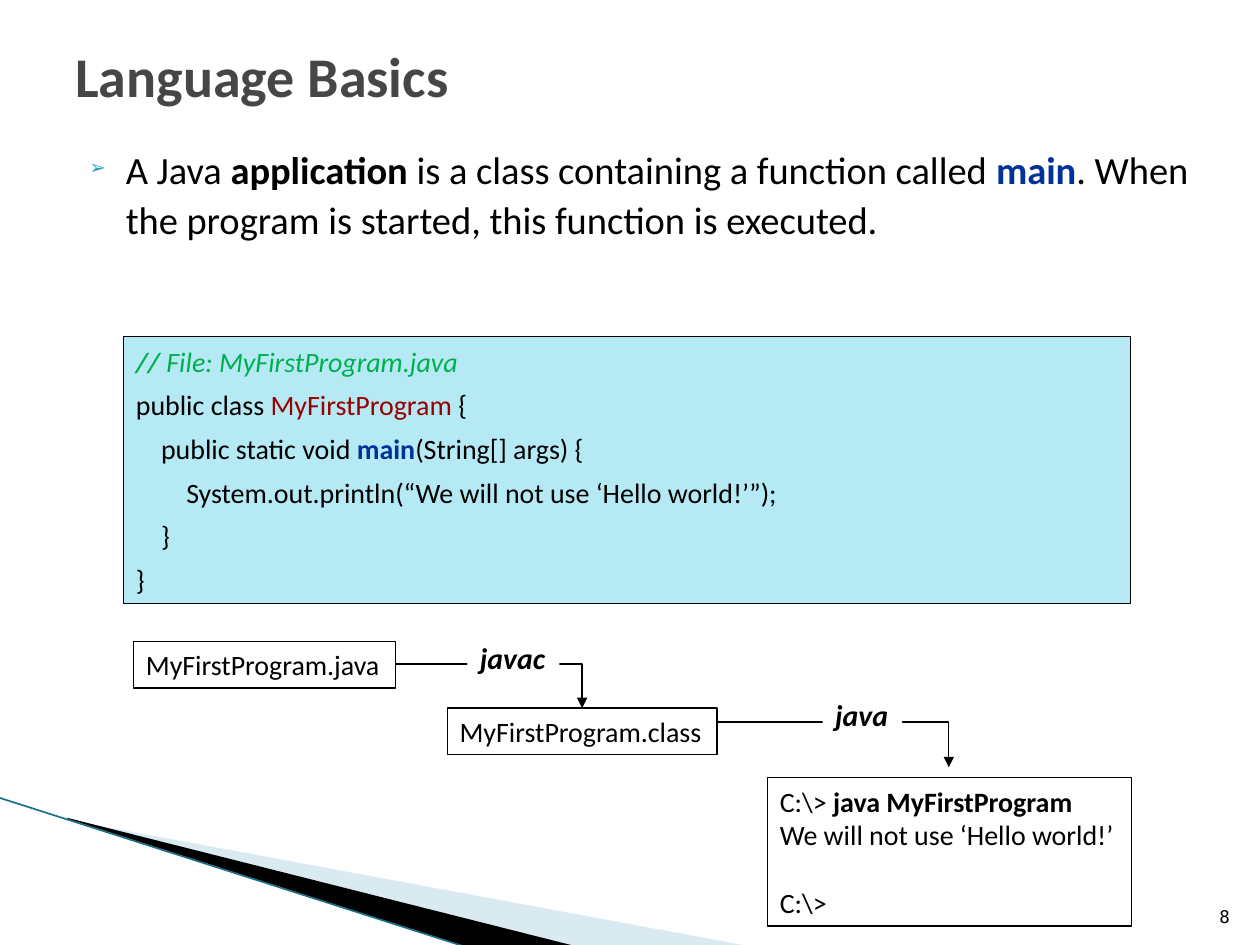
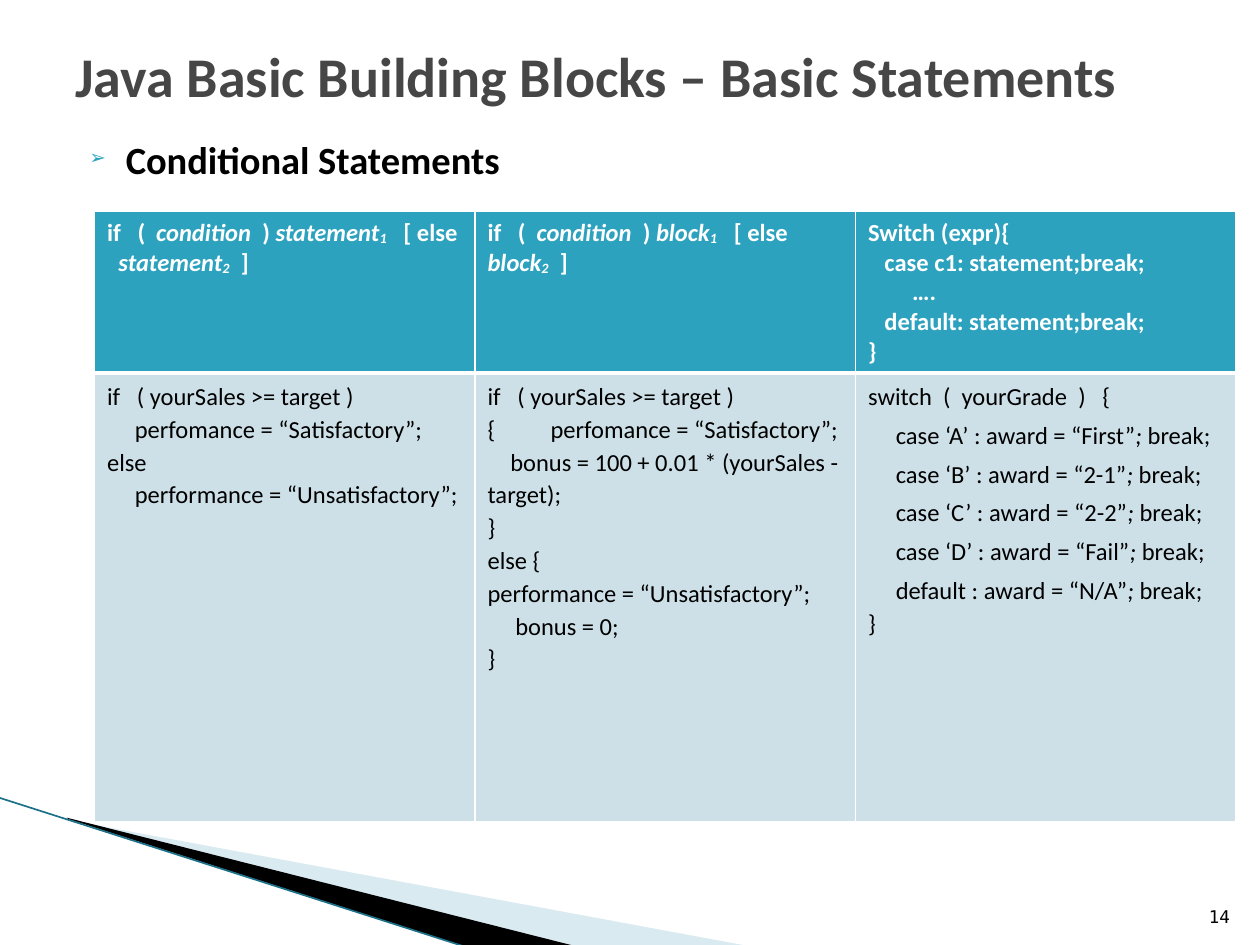
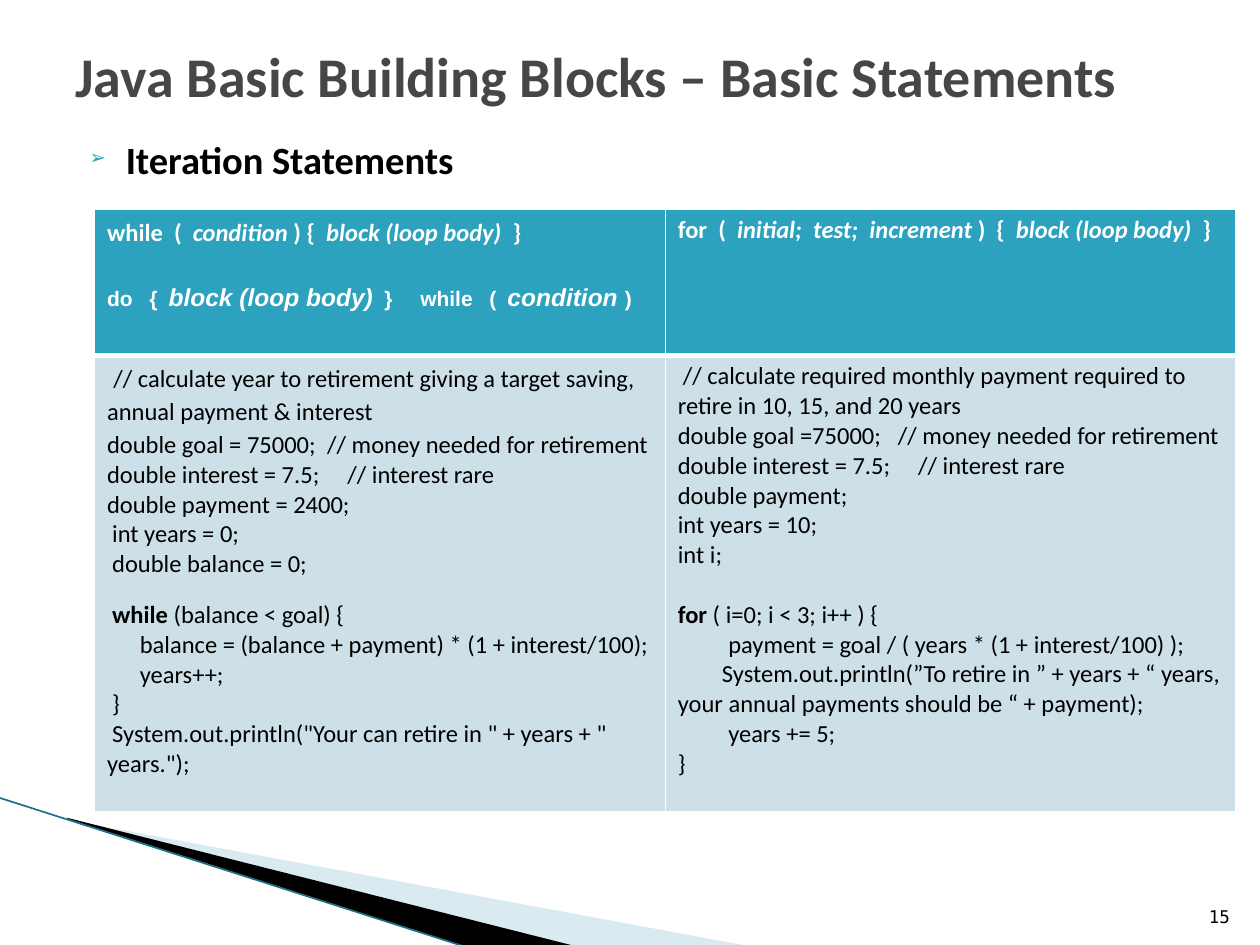
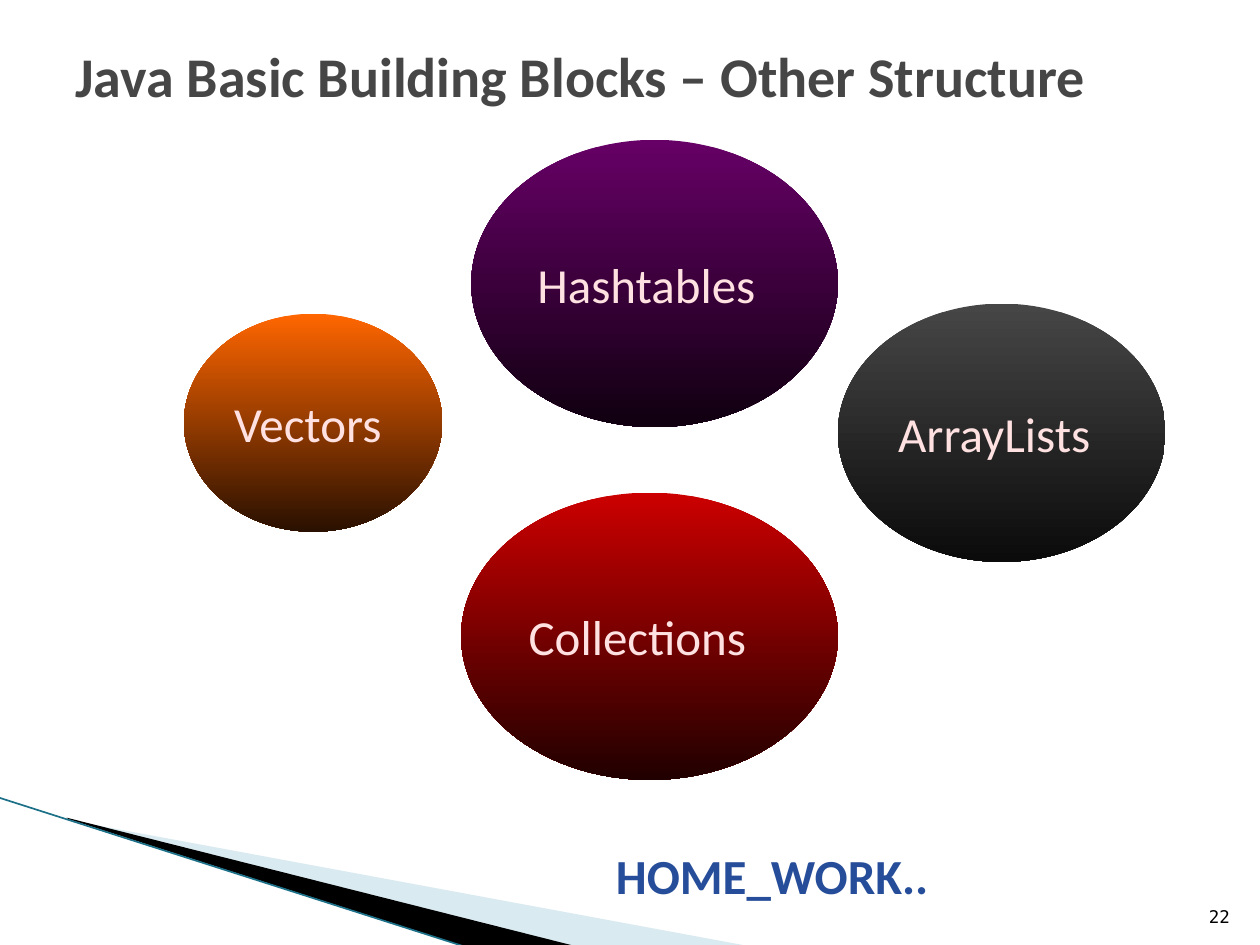
import pptx
import pptx.util
import pptx.dml.color
import pptx.enum.shapes
import pptx.enum.text
import pptx.oxml
import pptx.oxml.ns
from lxml import etree

Inches = pptx.util.Inches
Shape = pptx.enum.shapes.MSO_SHAPE
Connector = pptx.enum.shapes.MSO_CONNECTOR
Anchor = pptx.enum.text.MSO_ANCHOR
Align = pptx.enum.text.PP_ALIGN

THEME = {
    "black": "000000", "white": "FFFFFF", "title": "464646", "bullet": "2DA2BF",
    "header": "2DA2BF", "body": "CDE0E8", "code": "B5E9F4", "band": "A0CBDC",
    "edge": "1C7088", "keyword": "003399", "class": "990000", "comment": "00B050",
    "homework": "264D99", "bubble": "FFE1E1",
}
BASE = {"name": "Calibri", "size": 16, "color": "black"}
TEXT = {
    "title": {**BASE, "size": 32, "color": "title", "bold": True},
    "lead": {**BASE, "size": 22},
    "code": BASE,
    "tool": {**BASE, "size": 17, "bold": True, "italic": True},
    "header": {**BASE, "size": 14, "color": "white", "bold": True},
    "body": {**BASE, "size": 14, "bold": False},
    "bubble": {**BASE, "size": 28, "color": "bubble"},
    "homework": {**BASE, "size": 28, "color": "homework", "bold": True},
    "number": {**BASE, "name": "DejaVu Sans Mono", "size": 10},
}
SPAN = {
    "bold": {"bold": True},
    "italic": {"italic": True},
    "sub": {"italic": True, "baseline": -10000},
    "keyword": {"bold": True, "color": "keyword"},
    "class": {"color": "class"},
    "comment": {"italic": True, "color": "comment"},
    "slashes": {"italic": True, "bold": True, "color": "comment"},
    "arial": {"name": "Arial", "size": 12},
    "arial italic": {"name": "Arial", "italic": True},
    "double": {"spc": 316},
    "triple": {"spc": 632},
    "wide": {"spc": 1264},
}
DOUBLE, TRIPLE, WIDE = [(" ", name) for name in ("double", "triple", "wide")]

LEAD = [["A Java ", ("application", "bold"), " is a class containing a function called ",
         ("main", "keyword"), ". When the program is started, this function is executed."]]
PROGRAM = [
    [("//", "slashes"), (" File: MyFirstProgram.java", "comment")],
    {"spans": ["public class ", ("MyFirstProgram ", "class"), "{"], "spacing": 1.3},
    {"spans": ["public static void ", ("main", "keyword"), "(String[] args) {"],
     "first": 0.2, "spacing": 1.3},
    {"spans": ["System.out.println(“We will not use ‘Hello world!’”);"],
     "first": 0.4, "spacing": 1.3},
    {"spans": ["}"], "first": 0.2, "spacing": 1.3},
    {"spans": ["}"], "spacing": 1.3},
]
CONSOLE = [["C:\\> ", ("java MyFirstProgram", "bold")], "We will not use ‘Hello world!’",
           {"spans": ["C:\\>"], "before": 19.5}]
STAGES = [
    ((1.06, 5.09, 2.08, 0.37), ["MyFirstProgram.java"]),
    ((3.55, 5.62, 2.14, 0.37), ["MyFirstProgram.class"]),
    ((6.09, 6.17, 2.89, 1.18), CONSOLE),
]
TOOLS = [
    ("javac", (3.14, 5.27, 4.62, 5.62), (3.71, 5.02, 0.73, 0.39)),
    ("java", (5.69, 5.73, 7.53, 6.09), (6.53, 5.48, 0.63, 0.39)),
]

IF_HEADERS = [
    [["if", TRIPLE, "(", DOUBLE, ("condition", "italic"), DOUBLE, ") ",
      (term, "italic"), ("1", "sub"), TRIPLE, "[ else"],
     {"spans": [(term, "italic"), ("2", "sub"), DOUBLE, "]"], "first": first}]
    for term, first in (("statement", 0.09), ("block", 0))
]
SWITCH_HEADER = [
    "Switch (expr){",
    {"spans": ["case c1: statement;break;"], "first": 0.13},
    {"spans": ["…."], "first": 0.35},
    {"spans": ["default: statement;break;"], "first": 0.13},
    "}",
]
IF_SALES = ["if", TRIPLE, "( yourSales >= target )"]
IF_STATEMENT = [
    IF_SALES,
    {"spans": ["perfomance = “Satisfactory”;"], "first": 0.22},
    "else",
    {"spans": ["performance = “Unsatisfactory”;"], "first": 0.22},
]
IF_BLOCK = [
    IF_SALES,
    "{\tperfomance = “Satisfactory”;",
    {"spans": ["bonus = 100 + 0.01 * (yourSales - target);"], "first": 0.18},
    "}",
    "else {",
    "performance = “Unsatisfactory”;",
    {"spans": ["bonus = 0;"], "first": 0.22},
    "}",
]
GRADES = [("case ‘A’", "First"), ("case ‘B’", "2-1"), ("case ‘C’", "2-2"),
          ("case ‘D’", "Fail"), ("default", "N/A")]
SWITCH = [["switch", DOUBLE, "(", DOUBLE, "yourGrade", DOUBLE, ")", TRIPLE, "{"]] + [
    {"spans": [f"{label} : award = “{award}”", ("; ", "italic"), "break;"],
     "first": 0.22, "spacing": 1.3}
    for label, award in GRADES
] + ["}"]

LOOP_HEADERS = [
    [{"spans": ["while", DOUBLE, "(", DOUBLE, ("condition", "italic"), " ) {", DOUBLE,
                ("block (loop body)", "italic"), DOUBLE, "}"], "spacing": 1.1},
     {"spans": [("do", "arial"), TRIPLE, ("{", "arial"), DOUBLE,
                ("block (loop body)", "arial italic"), DOUBLE, ("}", "arial"), WIDE,
                ("while", "arial"), TRIPLE, ("(", "arial"), DOUBLE,
                ("condition ", "arial italic"), (")", "arial")],
      "spacing": 1.1, "before": 18}],
    [["for", DOUBLE, "(", DOUBLE, ("initial;", "italic"), DOUBLE, ("test;", "italic"),
      DOUBLE, ("increment ", "italic"), ")", DOUBLE, "{", DOUBLE,
      ("block (loop body)", "italic"), DOUBLE, "}"]],
]
INTEREST = ["double interest = 7.5;", WIDE, "// interest rare"]
WHILE_LOOP = [
    {"spans": ["// calculate year to retirement giving a target saving, "
               "annual payment & interest"], "first": 0.05, "spacing": 1.1},
    {"spans": ["double goal = 75000;", DOUBLE, "// money needed for retirement"],
     "spacing": 1.1},
    INTEREST,
    "double payment = 2400;",
    {"spans": ["int years = 0;"], "first": 0.04},
    {"spans": ["double balance = 0;"], "first": 0.04},
    {"spans": [("while", "bold"), " (balance < goal) {"], "first": 0.04, "before": 12},
    {"spans": ["balance = (balance + payment) * (1 + interest/100);"], "first": 0.26},
    {"spans": ["years++;"], "first": 0.26},
    {"spans": ["}"], "first": 0.04},
    {"spans": ['System.out.println("Your can retire in " + years + " years.");'], "first": 0.04},
]
FOR_LOOP = [
    {"spans": ["// calculate required monthly payment required to retire "
               "in 10, 15, and 20 years"], "first": 0.04},
    ["double goal =75000;", TRIPLE, "// money needed for retirement"],
    INTEREST,
    "double payment;",
    "int years = 10;",
    "int i;",
    {"spans": [("for", "bold"), " ( i=0; i < 3; i++ ) {"], "before": 17},
    {"spans": ["payment = goal / ( years * (1 + interest/100) );"], "first": 0.4},
    {"spans": ["System.out.println(”To retire in ” + years + “ years, "
               "your annual payments should be “ + payment);"], "first": 0.35},
    {"spans": ["years += 5;"], "first": 0.4},
    "}",
]
BUBBLES = [
    ("Vectors", (1.46, 2.49, 2.05, 1.73), ("FF6600", "291000")),
    ("Collections", (3.66, 3.91, 2.99, 2.28), ("CC0000", "210000")),
    ("ArrayLists", (6.65, 2.41, 2.6, 2.05), ("464646", "0B0B0B")),
    ("Hashtables", (3.74, 1.11, 2.91, 2.28), ("660066", "100010")),
]
BANDS = [
    ("band", 40, [(0.55, 6.51), (5.95, 7.51), (4.56, 7.51), (0.55, 6.5)]),
    ("black", 100, [(0.53, 6.49), (4.57, 7.51), (3.72, 7.52), (0.54, 6.5)]),
]
EDGE = (-0.01, 6.33, 3.71, 7.52)


def rgb(color):
    return pptx.dml.color.RGBColor.from_string(THEME.get(color, color))


def add_xml(parent, tag, **values):
    child = etree.SubElement(parent, pptx.oxml.ns.qn(tag))
    for key, value in values.items():
        child.set(key, str(value))
    return child


def paint(target, color):
    target.fill.solid()
    target.fill.fore_color.rgb = rgb(color)


def write_span(para, text, style):
    span = para.add_run()
    span.text = text
    for key, value in style.items():
        if key == "color":
            span.font.color.rgb = rgb(value)
        elif key in ("baseline", "spc"):
            span.font._element.set(key, str(value))
        else:
            setattr(span.font, key, pptx.util.Pt(value) if key == "size" else value)


def write(frame, lines, style, spacing=1.0, align=Align.LEFT, bullet=False):
    for index, line in enumerate(lines):
        if not isinstance(line, dict):
            line = {"spans": [line] if isinstance(line, str) else line}
        para = frame.paragraphs[0] if index == 0 else frame.add_paragraph()
        formats = {"alignment": align, "line_spacing": line.get("spacing", spacing),
                   "space_before": pptx.util.Pt(line.get("before", 4 if bullet else 0))}
        for key, value in formats.items():
            setattr(para, key, value)
        properties = para._p.get_or_add_pPr()
        margin, first = (0.4, -0.28) if bullet else (0, line.get("first", 0))
        properties.set("marL", str(Inches(margin)))
        properties.set("indent", str(Inches(first)))
        if bullet:
            add_xml(add_xml(properties, "a:buClr"), "a:srgbClr", val=THEME["bullet"])
            add_xml(properties, "a:buSzPct", val=68000)
            add_xml(properties, "a:buFont", typeface="DejaVu Sans Mono")
            add_xml(properties, "a:buChar", char="➢")
        for span in line["spans"]:
            text, name = (span, None) if isinstance(span, str) else span
            write_span(para, text, {**TEXT[style], **SPAN.get(name, {})})


def add_text(page, place, lines, style, anchor=Anchor.TOP, **formats):
    box = page.shapes.add_textbox(*map(Inches, place))
    box.text_frame.word_wrap = True
    box.text_frame.vertical_anchor = anchor
    write(box.text_frame, lines, style, **formats)


def add_box(page, place, lines, style, kind=Shape.RECTANGLE, fill=None, line=True, wrap=False):
    box = page.shapes.add_shape(kind, *map(Inches, place))
    box.shadow.inherit = False
    if fill:
        paint(box, fill)
    else:
        box.fill.background()
    if line:
        box.line.color.rgb = rgb("black")
        box.line.width = pptx.util.Pt(0.75)
    else:
        box.line.fill.background()
    box.text_frame.word_wrap = wrap
    box.text_frame.vertical_anchor = Anchor.MIDDLE
    write(box.text_frame, lines, style)
    return box


def add_line(page, ends, color, width, bent=False):
    kind = Connector.ELBOW if bent else Connector.STRAIGHT
    line = page.shapes.add_connector(kind, *map(Inches, ends))
    line.line.color.rgb = rgb(color)
    line.line.width = pptx.util.Pt(width)
    properties = line._element.spPr
    if bent:
        properties.find(pptx.oxml.ns.qn("a:prstGeom")).set("prst", "bentConnector2")
        add_xml(properties.find(pptx.oxml.ns.qn("a:ln")), "a:tailEnd", type="triangle")
    add_xml(properties, "a:effectLst")


def add_page(deck, title, number):
    page = deck.slides.add_slide(deck.slide_layouts[6])
    for color, opacity, points in BANDS:
        corners = [(Inches(x), Inches(y)) for x, y in points]
        builder = page.shapes.build_freeform(*corners[0])
        builder.add_line_segments(corners[1:], close=True)
        band = builder.convert_to_shape()
        band.shadow.inherit = False
        paint(band, color)
        band.line.fill.background()
        if opacity < 100:
            shade = next(band._element.spPr.iter(pptx.oxml.ns.qn("a:srgbClr")))
            add_xml(shade, "a:alpha", val=opacity * 1000)
    add_line(page, EDGE, "edge", 0.95)
    add_text(page, (0.5, 0.21, 9, 0.77), [title], "title", Anchor.MIDDLE)
    add_text(page, (9.46, 7.01, 0.4, 0.4), [str(number)], "number", Anchor.BOTTOM,
             align=Align.RIGHT)
    return page


def add_lead(page, top, lines):
    add_text(page, (0.5, top, 9.3, 6.74 - top), lines, "lead", spacing=1.1, bullet=True)


def set_borders(cell, widths):
    properties = cell._tc.get_or_add_tcPr()
    for index, (side, width) in enumerate(widths.items()):
        border = pptx.oxml.parse_xml(
            f'<a:ln{side} {pptx.oxml.ns.nsdecls("a")} w="{pptx.util.Pt(width)}"><a:solidFill>'
            f'<a:srgbClr val="{THEME["white"]}"/></a:solidFill></a:ln{side}>')
        properties.insert(index, border)


def add_grid(page, top, heights, headers, bodies, spacing):
    count = len(headers)
    size = (0.75, top, 9.06, sum(heights))
    table = page.shapes.add_table(2, count, *map(Inches, size)).table
    for column in table.columns:
        column.width = Inches(9.06 / count)
    rows = [("header", headers, 1.0, {"L": 1, "R": 1, "T": 1, "B": 3}),
            ("body", bodies, spacing, {"L": 1, "R": 1, "T": 3, "B": 1})]
    for row, (style, cells, leading, borders) in enumerate(rows):
        table.rows[row].height = Inches(heights[row])
        for column, lines in enumerate(cells):
            cell = table.cell(row, column)
            paint(cell, style)
            set_borders(cell, borders)
            write(cell.text_frame, lines, style, spacing=leading)


deck = pptx.Presentation()
deck.slide_width, deck.slide_height = Inches(10), Inches(7.5)

page = add_page(deck, "Language Basics", 8)
add_lead(page, 1.07, LEAD)
add_box(page, (0.98, 2.67, 7.99, 2.12), PROGRAM, "code", fill="code", wrap=True)
for place, lines in STAGES:
    add_box(page, place, lines, "code")
for tool, ends, place in TOOLS:
    add_line(page, ends, "black", 0.75, bent=True)
    add_box(page, place, [tool], "tool", fill="white", line=False)

STATEMENTS = "Java Basic Building Blocks – Basic Statements"
page = add_page(deck, STATEMENTS, 14)
add_lead(page, 0.99, [[("Conditional Statements", "bold")]])
add_grid(page, 1.68, (1.28, 3.56), IF_HEADERS + [SWITCH_HEADER],
         [IF_STATEMENT, IF_BLOCK, SWITCH], 1.1)

page = add_page(deck, STATEMENTS, 15)
add_lead(page, 0.99, [[("Iteration Statements", "bold")]])
add_grid(page, 1.66, (1.16, 3.62), LOOP_HEADERS, [WHILE_LOOP, FOR_LOOP], 1.0)

page = add_page(deck, "Java Basic Building Blocks – Other Structure", 22)
add_text(page, (4.29, 6.66, 5.12, 0.57), [{"spans": ["HOME_WORK.."], "first": 0.5}],
         "homework", Anchor.MIDDLE)
for name, place, colors in BUBBLES:
    bubble = add_box(page, place, [name], "bubble", kind=Shape.OVAL, line=False)
    bubble.fill.gradient()
    bubble.fill.gradient_angle = 270
    for stop, position, color in zip(bubble.fill.gradient_stops, (0, 1), colors):
        stop.position = position
        stop.color.rgb = rgb(color)

deck.save("out.pptx")
